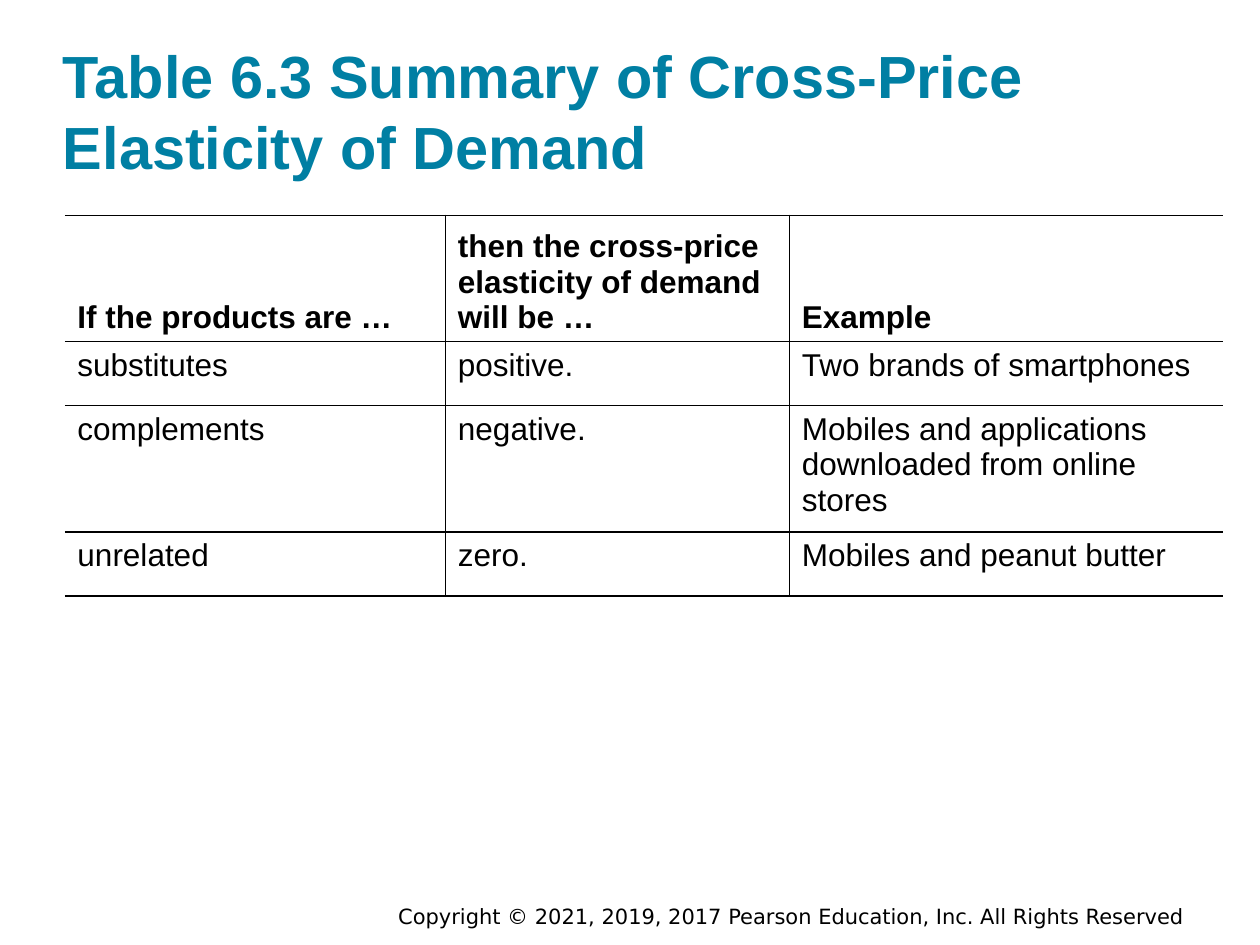
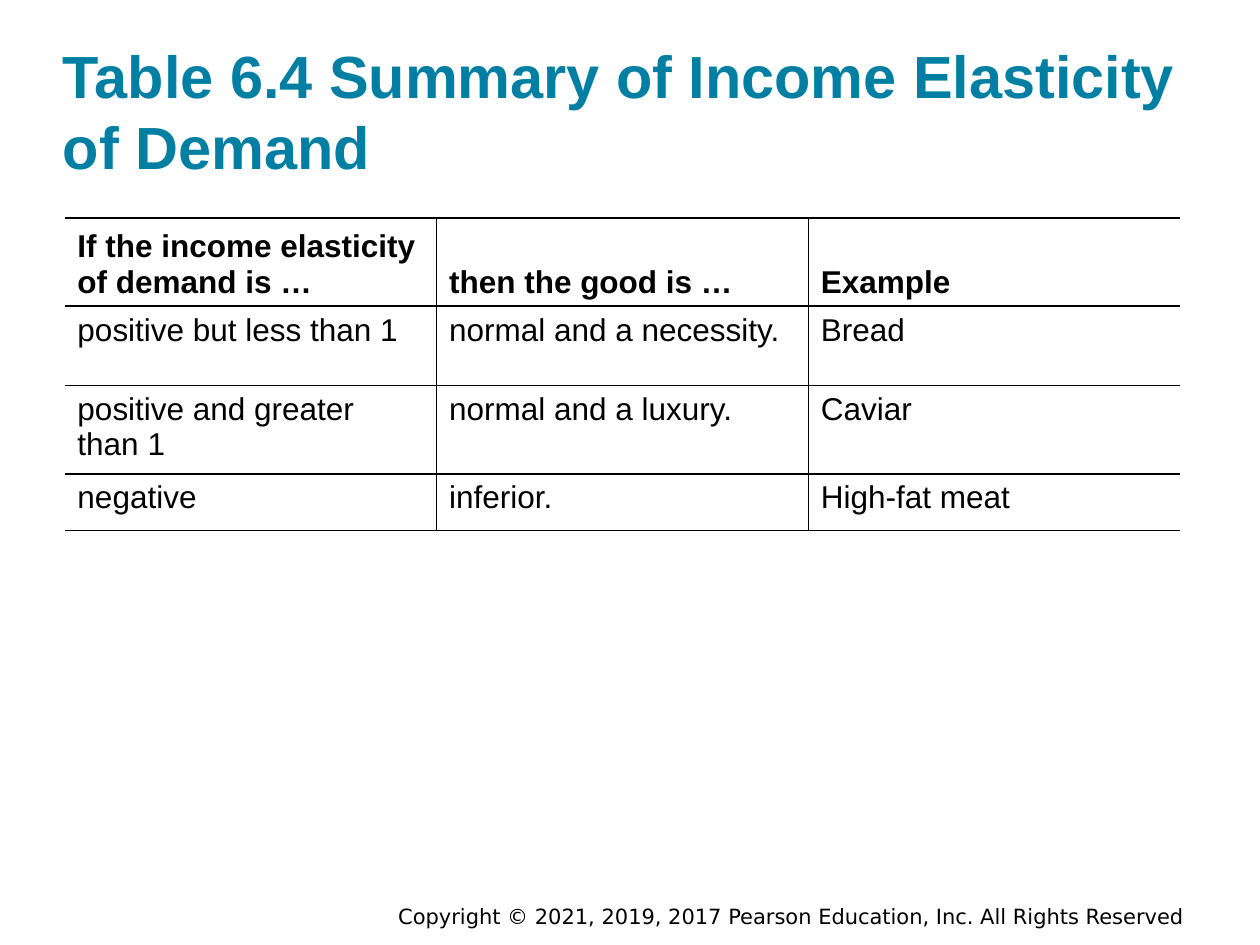
from pptx import Presentation
from pptx.dml.color import RGBColor
from pptx.enum.text import MSO_ANCHOR, PP_ALIGN
from pptx.oxml import parse_xml
from pptx.oxml.ns import nsdecls
from pptx.util import Inches, Pt

TOP, MIDDLE, BOTTOM = MSO_ANCHOR.TOP, MSO_ANCHOR.MIDDLE, MSO_ANCHOR.BOTTOM
LEFT, RIGHT = PP_ALIGN.LEFT, PP_ALIGN.RIGHT
WIDTH, HEIGHT = Inches(10), Inches(7.5)
COLUMN, ROW = WIDTH / 100, HEIGHT / 75
INK, TEAL = "000000", "007FA3"
BODY_FONT, FOOTER_FONT = "Arial", "DejaVu Sans"
TITLE_BOX = (5, 2.4, 90, 12)
FOOTER_BOX = (29, 70.4, 66, 4.6)
FOOTER = "Copyright © 2021, 2019, 2017 Pearson Education, Inc. All Rights Reserved"

SUMMARIES = [
    {
        "title": "Table 6.3 Summary of Cross-Price Elasticity of Demand",
        "corner": (5.15, 17.1),
        "columns": (30.2, 27.3, 34.4),
        "rows": (9.4, 5.1, 9.4, 5.1),
        "cells": [
            ("If the products are …",
             "then the cross-price elasticity of demand will be …", "Example"),
            ("substitutes", "positive.", "Two brands of smartphones"),
            ("complements", "negative.",
             "Mobiles and applications downloaded from online stores"),
            ("unrelated", "zero.", "Mobiles and peanut butter"),
        ],
    },
    {
        "title": "Table 6.4 Summary of Income Elasticity of Demand",
        "corner": (5.15, 17.3),
        "columns": (29.5, 29.5, 29.5),
        "rows": (6.9, 6.3, 6.6, 4.5),
        "cells": [
            ("If the income elasticity of demand is …",
             "then the good is …", "Example"),
            ("positive but less than 1", "normal and a necessity.", "Bread"),
            ("positive and greater than 1", "normal and a luxury.", "Caviar"),
            ("negative", "inferior.", "High-fat meat"),
        ],
    },
]


def color(hex_code):
    """Turn a hex string into a colour."""
    return RGBColor.from_string(hex_code)


def grid(left, top, width, height):
    """Turn grid columns and rows into slide lengths."""
    return (round(left * COLUMN), round(top * ROW),
            round(width * COLUMN), round(height * ROW))


def write(para, text, size, bold=False, hex_code=INK, font=BODY_FONT):
    """Add one styled run to a paragraph."""
    span = para.add_run()
    span.text = text
    span.font.name, span.font.size, span.font.bold = font, Pt(size), bold
    span.font.color.rgb = color(hex_code)


def add_label(page, box, anchor, align, text, **style):
    """Add a wrapped text box and return its frame."""
    frame = page.shapes.add_textbox(*grid(*box)).text_frame
    frame.word_wrap, frame.vertical_anchor = True, anchor
    frame.paragraphs[0].alignment = align
    write(frame.paragraphs[0], text, **style)
    return frame


def add_title(page, text):
    """Place the bold title flush with its box."""
    frame = add_label(page, TITLE_BOX, BOTTOM, LEFT, text,
                      size=34, bold=True, hex_code=TEAL)
    frame.margin_left = frame.margin_right = 0
    frame.margin_top = frame.margin_bottom = 0


def add_footer(page):
    """Place the copyright line at the lower right."""
    add_label(page, FOOTER_BOX, MIDDLE, RIGHT, FOOTER, size=12, font=FOOTER_FONT)


def rule_cell(cell, first, last):
    """Rule a cell on all sides but the outer left and right of the table."""
    properties = cell._tc.get_or_add_tcPr()
    for side, ruled in (("L", not first), ("R", not last), ("T", True), ("B", True)):
        fill = f'<a:solidFill><a:srgbClr val="{INK}"/></a:solidFill>' if ruled else "<a:noFill/>"
        properties.append(parse_xml(
            f'<a:ln{side} {nsdecls("a")} w="{Pt(1)}">{fill}</a:ln{side}>'))


def add_summary(page, corner, columns, rows, cells):
    """Place the ruled table with its bold heading row."""
    box = grid(*corner, sum(columns), sum(rows))
    table = page.shapes.add_table(len(rows), len(columns), *box).table
    table.first_row = table.horz_banding = False
    for column, share in zip(table.columns, columns):
        column.width = round(share * COLUMN)
    for row_index, (row, share) in enumerate(zip(table.rows, rows)):
        row.height = round(share * ROW)
        heading = row_index == 0
        for index, (cell, text) in enumerate(zip(row.cells, cells[row_index])):
            rule_cell(cell, index == 0, index == len(columns) - 1)
            cell.fill.background()
            cell.vertical_anchor = BOTTOM if heading else TOP
            write(cell.text_frame.paragraphs[0], text, 18, bold=heading)


def add_page(deck, title, **summary):
    """Add a slide with footer, title and summary table."""
    page = deck.slides.add_slide(deck.slide_layouts[6])
    add_footer(page)
    add_title(page, title)
    add_summary(page, **summary)


def main():
    """Build and save the deck."""
    deck = Presentation()
    deck.slide_width, deck.slide_height = WIDTH, HEIGHT
    for summary in SUMMARIES:
        add_page(deck, **summary)
    deck.save("out.pptx")


if __name__ == "__main__":
    main()
